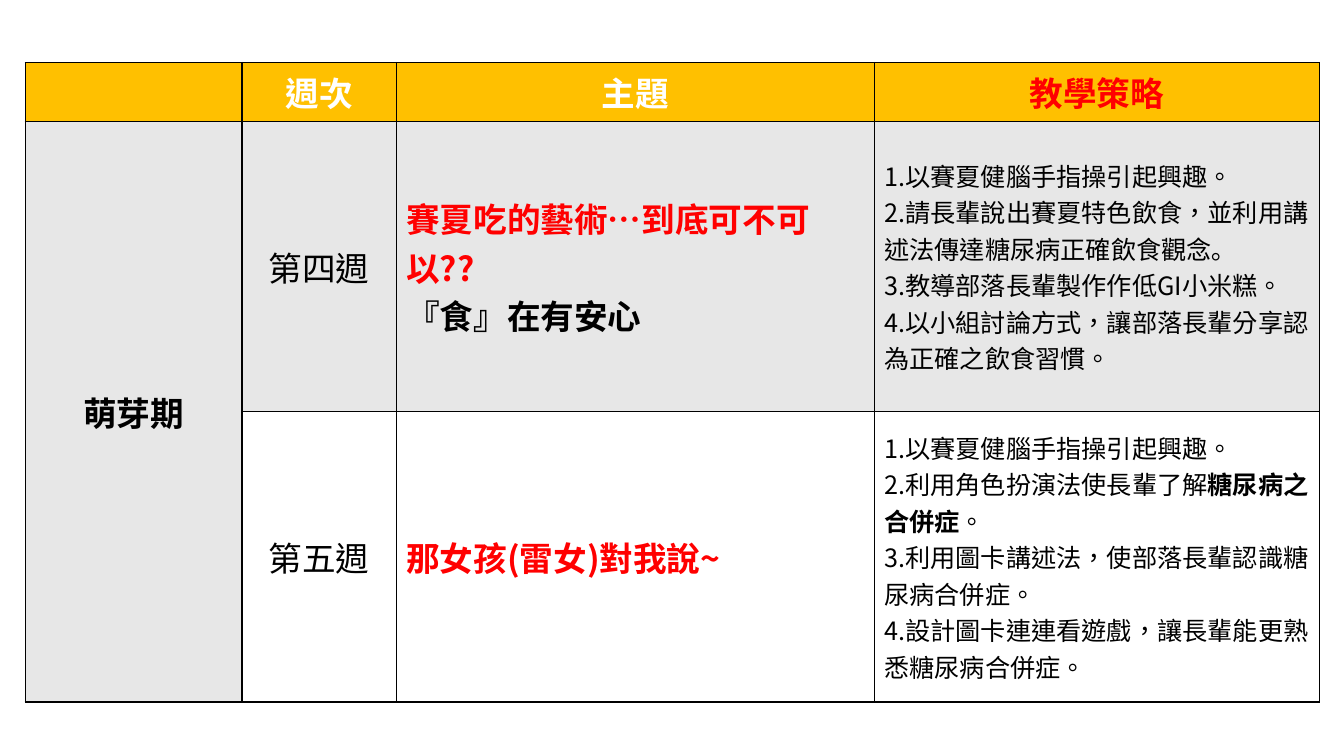
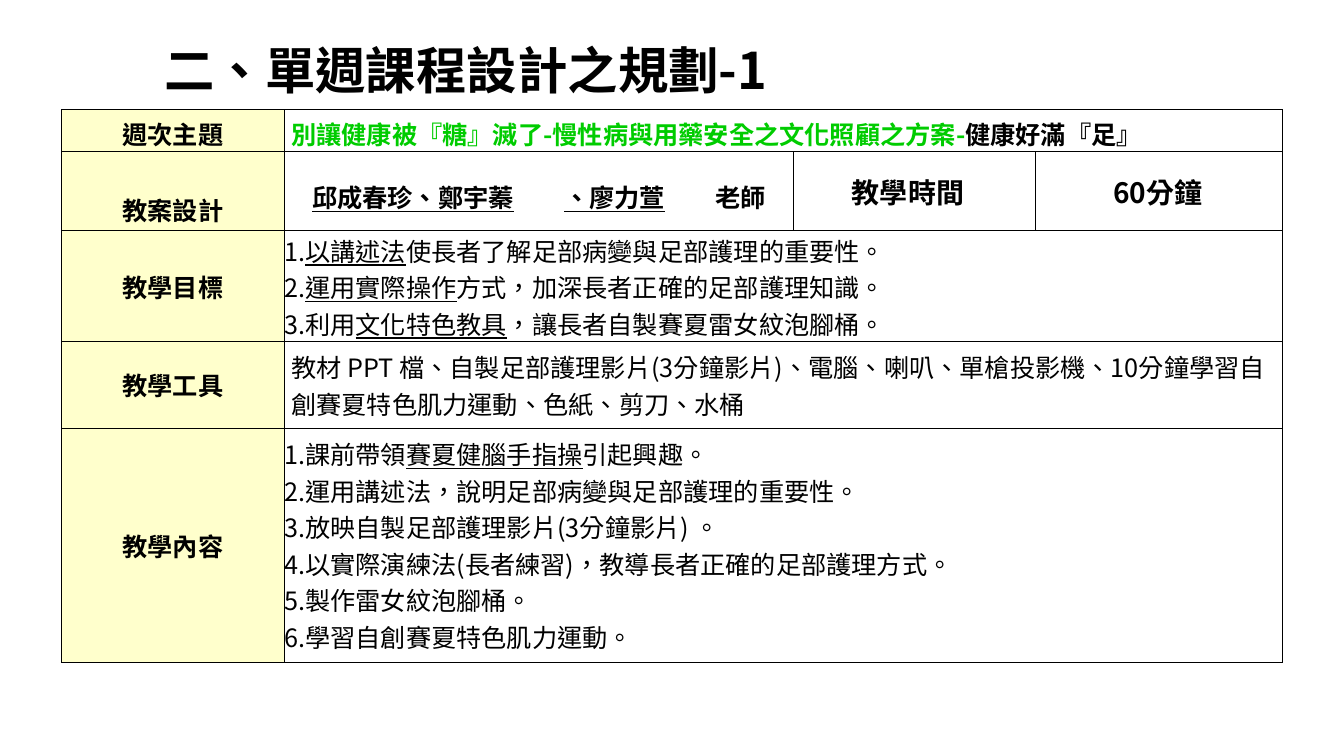
from lxml.etree import SubElement
from pptx import Presentation
from pptx.dml.color import RGBColor
from pptx.enum.text import MSO_ANCHOR, MSO_AUTO_SIZE, PP_ALIGN
from pptx.oxml.ns import qn
from pptx.util import Emu, Inches, Pt

SANS, SANS_TC = "Noto Sans CJK SC", "Noto Sans CJK TC"
BLACK, WHITE, RED, GREEN = "000000", "FFFFFF", "FF0000", "00CC00"
AMBER, GREY, CREAM = "FFC000", "E7E7E7", "FFFFCC"
BOLD, UNDERLINE = {"bold": True}, {"underline": True}
LEFT, CENTER = PP_ALIGN.LEFT, PP_ALIGN.CENTER
MIDDLE, TOP = MSO_ANCHOR.MIDDLE, MSO_ANCHOR.TOP


def write(frame, paragraphs, align=LEFT, before=0, color=BLACK, face=SANS, **base):
    """Fill a text frame; a paragraph is a string or a list of (text, format) pairs."""
    for index, content in enumerate(paragraphs):
        para = frame.paragraphs[0] if index == 0 else frame.add_paragraph()
        para.alignment = align
        if before:
            para.space_before = Pt(before)
        for text, extra in [(content, {})] if isinstance(content, str) else content:
            span = para.add_run()
            span.text = text
            look = {"color": color, "name": face, **base, **extra}
            span.font.color.rgb = RGBColor.from_string(look.pop("color"))
            for name, value in look.items():
                setattr(span.font, name, value)
            properties = span.font._element
            properties.set("lang", "zh-TW")
            SubElement(properties, qn("a:ea"), typeface=look["name"])


def add_grid(page, left, top, widths, heights, border):
    """Add a plain white table with black borders."""
    table = page.shapes.add_table(
        len(heights), len(widths), Inches(left), Inches(top),
        Inches(sum(widths)), Inches(sum(heights))).table
    table.first_row = table.horz_banding = False
    for column, width in zip(table.columns, widths):
        column.width = Inches(width)
    for row, height in zip(table.rows, heights):
        row.height = Inches(height)
    for cell in table.iter_cells():
        cell_properties = cell._tc.get_or_add_tcPr()
        for side in ("L", "R", "T", "B"):
            line = SubElement(cell_properties, qn(f"a:ln{side}"), w=str(Pt(border)))
            SubElement(SubElement(line, qn("a:solidFill")), qn("a:srgbClr"), val=BLACK)
        cell.fill.solid()
        cell.fill.fore_color.rgb = RGBColor.from_string(WHITE)
        cell.vertical_anchor = MIDDLE
    return table


deck = Presentation()
deck.slide_width, deck.slide_height = Inches(13.33), Inches(7.5)

# Weekly themes and strategies
page = deck.slides.add_slide(deck.slide_layouts[6])
weeks = add_grid(page, 0.25, 0.62, [2.15, 1.53, 4.74, 4.42], [0.48, 2.88, 2.88], 1)
weeks.cell(1, 0).merge(weeks.cell(2, 0))
for row, fill in enumerate((AMBER, GREY)):
    for column in range(4):
        weeks.cell(row, column).fill.fore_color.rgb = RGBColor.from_string(fill)

headings = [("週次", WHITE), ("主題", WHITE), ("教學策略", RED)]
for column, (heading, color) in enumerate(headings, 1):
    write(weeks.cell(0, column).text_frame, [heading], CENTER, color=color,
          size=Pt(24), bold=True)
write(weeks.cell(1, 0).text_frame, ["萌芽期"], CENTER, size=Pt(24), bold=True)

lessons = [
    ("第四週",
     [[("賽夏吃的藝術…到底可不可以??", {"color": RED})], "『食』在有安心"],
     ["1.以賽夏健腦手指操引起興趣。",
      "2.請長輩說出賽夏特色飲食，並利用講述法傳達糖尿病正確飲食觀念｡",
      "3.教導部落長輩製作作低GI小米糕。",
      "4.以小組討論方式，讓部落長輩分享認為正確之飲食習慣。"]),
    ("第五週",
     [[("那女孩(雷女)對我說~", {"color": RED})]],
     ["1.以賽夏健腦手指操引起興趣。",
      [("2.利用角色扮演法使長輩了解", {}), ("糖尿病之合併症", BOLD), ("。", {})],
      "3.利用圖卡講述法，使部落長輩認識糖尿病合併症。",
      "4.設計圖卡連連看遊戲，讓長輩能更熟悉糖尿病合併症。"]),
]
for row, (week, theme, strategies) in enumerate(lessons, 1):
    write(weeks.cell(row, 1).text_frame, [week], CENTER, size=Pt(24), bold=False)
    write(weeks.cell(row, 2).text_frame, theme, size=Pt(24), bold=True)
    write(weeks.cell(row, 3).text_frame, strategies, size=Pt(18), bold=False)

# Plan of a single week
page = deck.slides.add_slide(deck.slide_layouts[5])
title = page.shapes.title
title.left, title.top, title.width, title.height = map(Inches, (1.53, 0, 7.57, 1.45))
title.text_frame.auto_size = MSO_AUTO_SIZE.NONE
title.text_frame.vertical_anchor = MIDDLE
write(title.text_frame, ["二、單週課程設計之規劃-1"], size=Pt(36), bold=True)
title.text_frame.paragraphs[0].line_spacing = 0.9

plan = add_grid(page, 0.61, 1.09, [2.21, 5.05, 2.4, 2.45],
                [0.3, 0.78, 0.99, 0.86, 2.32], 0.75)
for row in (0, 2, 3, 4):
    plan.cell(row, 1).merge(plan.cell(row, 3))

# label, top inset, anchor, space before
labels = [("週次主題", 0.05, TOP, 3.4), ("教案設計", 0.37, MIDDLE, 0),
          ("教學目標", 0.01, MIDDLE, 0), ("教學工具", 0, MIDDLE, 0),
          ("教學內容", 0.01, MIDDLE, 0.1)]
# row, column, left inset, top inset, anchor, paragraphs, format
entries = [
    (0, 1, 0.07, 0.05, TOP,
     [[("別讓健康被『糖』滅了-慢性病與用藥安全之文化照顧之方案-", {"color": GREEN}),
       ("健康好滿『足』", {})]],
     {"before": 3.2, "bold": True}),
    (1, 1, 0, 0.12, MIDDLE,
     [[("邱成春珍、鄭宇蓁\t、廖力萱", UNDERLINE), ("\t老師", {})]],
     {"align": CENTER, "bold": True}),
    (1, 2, 0.58, 0.01, MIDDLE, ["教學時間"],
     {"face": SANS_TC, "size": Pt(20), "bold": True}),
    (1, 3, 0.77, 0.01, MIDDLE, ["60分鐘"],
     {"face": SANS_TC, "size": Pt(20), "bold": True}),
    (2, 1, 0, 0.02, TOP,
     [[("1.", {}), ("以講述法", UNDERLINE),
       ("使長者了解足部病變與足部護理的重要性。", {})],
      [("2.", {}), ("運用實際操作", UNDERLINE),
       ("方式，加深長者正確的足部護理知識。", {})],
      [("3.利用", {}), ("文化特色教具", UNDERLINE),
       ("，讓長者自製賽夏雷女紋泡腳桶。", {})]], {}),
    (3, 1, 0.07, 0, MIDDLE,
     ["教材 PPT 檔、自製足部護理影片(3分鐘影片)、電腦、喇叭、單槍投影機、"
      "10分鐘學習自創賽夏特色肌力運動、色紙、剪刀、水桶"], {}),
    (4, 1, 0, 0, MIDDLE,
     [[("1.課前帶領", {}), ("賽夏健腦手指操", UNDERLINE), ("引起興趣。", {})],
      "2.運用講述法，說明足部病變與足部護理的重要性。",
      "3.放映自製足部護理影片(3分鐘影片) 。",
      "4.以實際演練法(長者練習)，教導長者正確的足部護理方式。",
      "5.製作雷女紋泡腳桶。",
      "6.學習自創賽夏特色肌力運動。"], {}),
]
for row, (label, inset, anchor, before) in enumerate(labels):
    plan.cell(row, 0).fill.fore_color.rgb = RGBColor.from_string(CREAM)
    entries.append((row, 0, 0, inset, anchor, [label],
                    {"align": CENTER, "before": before, "bold": True}))

for row, column, left, top, anchor, paragraphs, look in entries:
    cell = plan.cell(row, column)
    cell.margin_left, cell.margin_top = Inches(left), Inches(top)
    cell.margin_right = cell.margin_bottom = Emu(0)
    cell.vertical_anchor = anchor
    write(cell.text_frame, paragraphs, **{"size": Pt(18), "bold": False, **look})

teachers = plan.cell(1, 1).text_frame.paragraphs[0]
stops = SubElement(teachers._p.get_or_add_pPr(), qn("a:tabLst"))
for position in (1.22, 1.45, 1.91):
    SubElement(stops, qn("a:tab"), pos=str(Inches(position)), algn="l")

deck.save("out.pptx")
